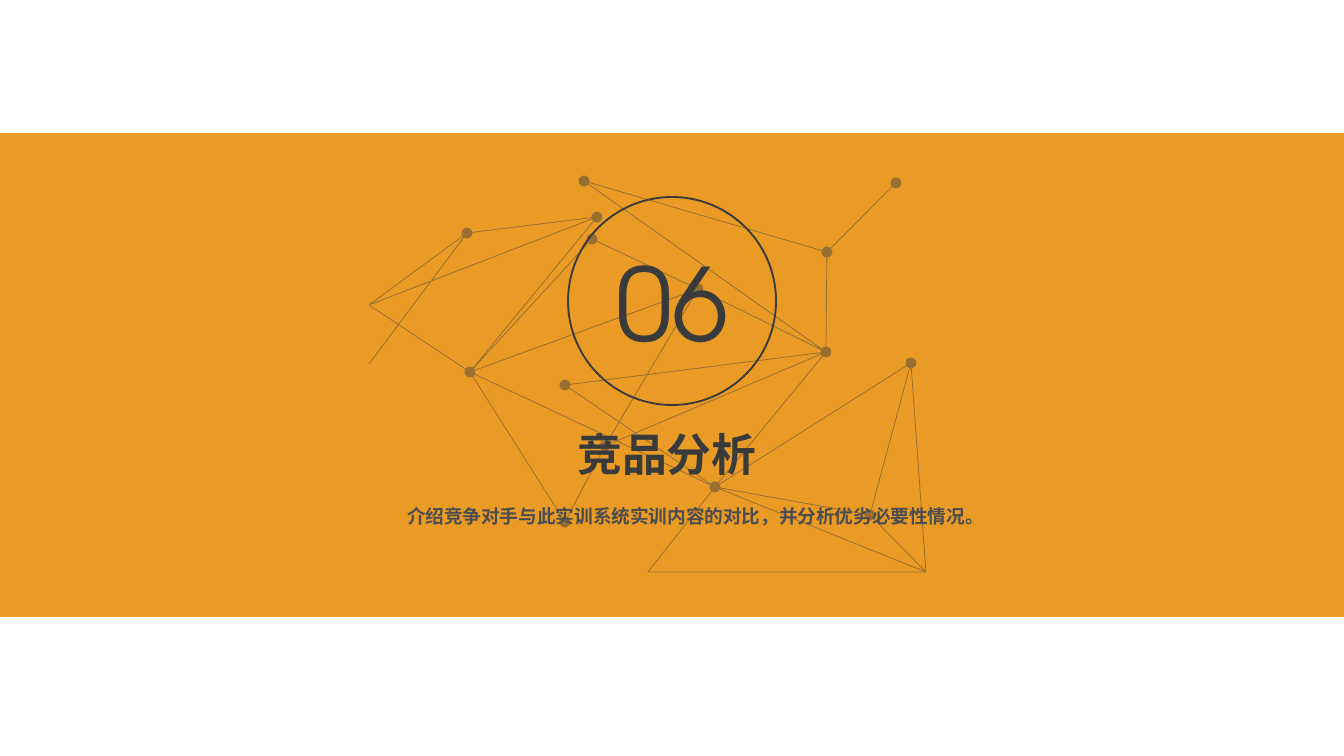
from math import atan2, cos, hypot, pi, sin

from lxml.etree import SubElement
from pptx import Presentation
from pptx.dml.color import RGBColor
from pptx.enum.shapes import MSO_SHAPE as Shape
from pptx.enum.text import MSO_ANCHOR as Anchor, PP_ALIGN as Align
from pptx.oxml.ns import qn
from pptx.util import Inches, Pt

SLIDE_WIDTH, SLIDE_HEIGHT = 1344, 756
SCALE = Inches(10) / SLIDE_WIDTH

ORANGE = RGBColor(0xEA, 0x9B, 0x26)
DARK = RGBColor(0x38, 0x3A, 0x3B)
GRAY = RGBColor(0x4B, 0x4D, 0x4F)
CHINESE_FONT = "Noto Sans CJK SC"
NUMBER_FONT = "TeX Gyre Adventor"

NODES = {
    "a": (0, 124), "b": (0, 183), "c": (98, 52), "d": (228, 36),
    "e": (223, 58), "f": (215, 0), "g": (101, 191), "h": (196, 204),
    "i": (196, 341), "j": (329, 108), "k": (458, 71), "l": (457, 171),
    "m": (527, 2), "n": (542, 182), "o": (501, 334), "p": (346, 306),
    "q": (236, 265), "r": (279, 391), "s": (557, 391),
}
EDGES = ("ac ad ag bc cd dg eg ej jl jg jq qi gi gp ql hl hp "
         "fk fl kl km lp pn po ps pr rs ns no os").split()
BARE_NODES = "abrs"
DOT_RADIUS = 5.4
EDGE_WIDTH = 0.8
DOT_SIDES = 24
NETWORK_ALPHA = 45


def px(value):
    return round(value * SCALE)


def write_text(shape, text, size, color, font=CHINESE_FONT, bold=False,
               align=Align.CENTER, anchor=Anchor.MIDDLE, inset=0):
    frame = shape.text_frame
    frame.word_wrap = True
    frame.vertical_anchor = anchor
    frame.margin_left = frame.margin_right = px(inset)
    frame.margin_top = frame.margin_bottom = px(inset)
    paragraph = frame.paragraphs[0]
    paragraph.alignment = align
    run = paragraph.add_run()
    run.text = text
    run.font.size = Pt(size)
    run.font.bold = bold
    run.font.name = font
    run.font.color.rgb = color
    SubElement(run.font._element, qn("a:ea")).set("typeface", font)


def add_band(slide, left, top, width, height):
    band = slide.shapes.add_shape(Shape.RECTANGLE, px(left), px(top), px(width), px(height))
    band.shadow.inherit = False
    band.fill.solid()
    band.fill.fore_color.rgb = ORANGE
    band.line.fill.background()


def dot_outline(node):
    x, y = NODES[node]
    angles = [2 * pi * side / DOT_SIDES for side in range(DOT_SIDES)]
    return [(x + DOT_RADIUS * cos(angle), y + DOT_RADIUS * sin(angle)) for angle in angles]


def edge_outline(edge):
    (x1, y1), (x2, y2) = (NODES[node] for node in edge)
    length = hypot(x2 - x1, y2 - y1)
    angle = atan2(y2 - y1, x2 - x1)
    start, end = (0 if node in BARE_NODES else DOT_RADIUS for node in edge)
    half = EDGE_WIDTH / 2
    corners = [(start, -half), (length - end, -half), (length - end, half), (start, half)]
    return [(x1 + along * cos(angle) - across * sin(angle),
             y1 + along * sin(angle) + across * cos(angle)) for along, across in corners]


def add_network(slide, left, top):
    outlines = [edge_outline(edge) for edge in EDGES]
    outlines += [dot_outline(node) for node in NODES if node not in BARE_NODES]
    outlines = [[(px(left + x), px(top + y)) for x, y in outline] for outline in outlines]
    builder = slide.shapes.build_freeform(*outlines[0][0])
    for index, outline in enumerate(outlines):
        if index:
            builder.move_to(*outline[0])
        builder.add_line_segments(outline[1:], close=True)
    network = builder.convert_to_shape()
    network.shadow.inherit = False
    network.fill.solid()
    network.fill.fore_color.rgb = DARK
    network.line.fill.background()
    color = network._element.spPr.find(qn("a:solidFill")).find(qn("a:srgbClr"))
    SubElement(color, qn("a:alpha")).set("val", str(NETWORK_ALPHA * 1000))


def add_number(slide, left, top, size, text):
    circle = slide.shapes.add_shape(Shape.OVAL, px(left), px(top), px(size), px(size))
    circle.shadow.inherit = False
    circle.fill.background()
    circle.line.color.rgb = DARK
    circle.line.width = Pt(1)
    write_text(circle, text, 54, DARK, font=NUMBER_FONT, inset=7)


def add_heading(slide, left, top, title, summary):
    title_box = slide.shapes.add_textbox(px(left), px(top), px(542), px(79))
    write_text(title_box, title, 24, DARK, bold=True, inset=3)
    summary_box = slide.shapes.add_textbox(px(left + 11), px(top + 91), px(802), px(23))
    write_text(summary_box, summary, 10, GRAY, bold=True, align=Align.JUSTIFY,
               anchor=Anchor.TOP)


def main():
    presentation = Presentation()
    presentation.slide_width = px(SLIDE_WIDTH)
    presentation.slide_height = px(SLIDE_HEIGHT)
    slide = presentation.slides.add_slide(presentation.slide_layouts[6])
    add_band(slide, 0, 133, SLIDE_WIDTH, 484)
    add_network(slide, 369, 181)
    add_number(slide, 568, 197, 208, "06")
    add_heading(slide, 396, 414, "竞品分析",
                "介绍竞争对手与此实训系统实训内容的对比，并分析优劣必要性情况。")
    presentation.save("out.pptx")


if __name__ == "__main__":
    main()
